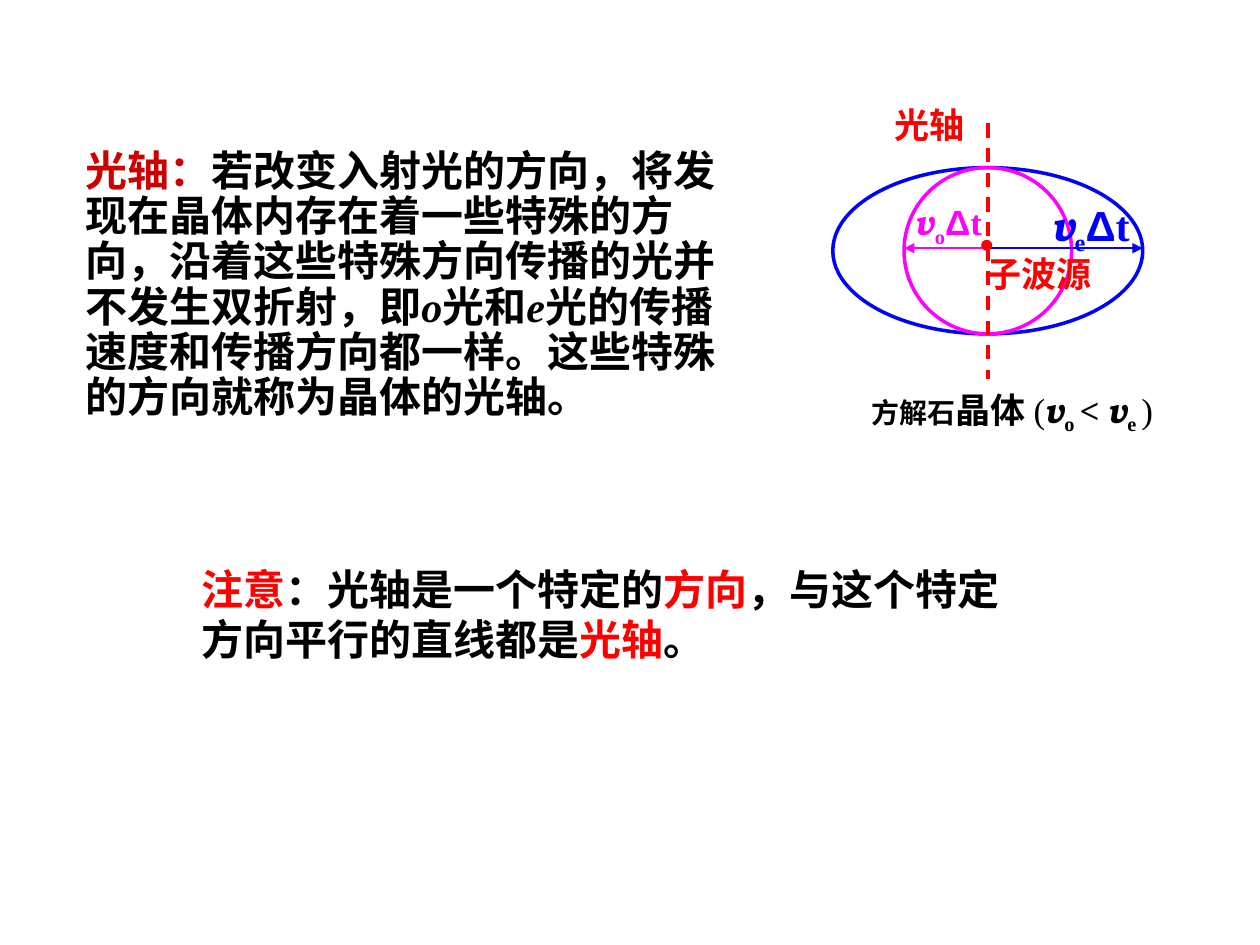
from dataclasses import dataclass

from lxml.etree import SubElement
from pptx import Presentation
from pptx.dml.color import RGBColor
from pptx.enum.dml import MSO_LINE
from pptx.enum.shapes import MSO_CONNECTOR, MSO_SHAPE
from pptx.enum.text import MSO_AUTO_SIZE, PP_ALIGN
from pptx.oxml.ns import qn
from pptx.util import Inches, Pt

RED = RGBColor(0xFF, 0x00, 0x00)
DARK_RED = RGBColor(0xCC, 0x00, 0x00)
BLUE = RGBColor(0x00, 0x00, 0xFF)
MAGENTA = RGBColor(0xFF, 0x00, 0xFF)
BLACK = RGBColor(0x00, 0x00, 0x00)

SANS, SERIF, SYMBOL = "Arial", "Times New Roman", "TeX Gyre Bonum"

# Wavefront geometry, in inches
AXIS_X, TOP, HEIGHT = 7.84, 1.33, 1.32
ELLIPSE_WIDTH, CIRCLE_WIDTH = 2.46, 1.33
RAY_Y = 1.97


@dataclass
class Span:
    text: str
    size: float
    color: RGBColor = BLACK
    font: str = SERIF
    bold: bool = True
    italic: bool = False
    subscript: bool = False


@dataclass
class Label:
    left: float
    top: float
    width: float
    height: float
    spans: list[Span]


def add_text(slide, label: Label, margins=(0.01, 0.01),
             align=PP_ALIGN.JUSTIFY, grow=False, line_spacing=None) -> None:
    box = slide.shapes.add_textbox(Inches(label.left), Inches(label.top),
                                   Inches(label.width), Inches(label.height))
    frame = box.text_frame
    frame.word_wrap = True
    if grow:
        frame.auto_size = MSO_AUTO_SIZE.SHAPE_TO_FIT_TEXT
    frame.margin_left = frame.margin_right = Inches(margins[0])
    frame.margin_top = frame.margin_bottom = Inches(margins[1])
    paragraph = frame.paragraphs[0]
    paragraph.alignment = align
    # Keep punctuation inside the right margin
    paragraph._p.get_or_add_pPr().set("hangingPunct", "0")
    if line_spacing:
        paragraph.line_spacing = line_spacing
    for span in label.spans:
        run = paragraph.add_run()
        run.text = span.text
        font = run.font
        font.size, font.name = Pt(span.size), span.font
        font.bold, font.italic = span.bold, span.italic
        font.color.rgb = span.color
        if span.subscript:
            run._r.get_or_add_rPr().set("baseline", "-25000")


def add_wavefront(slide, width: float, color: RGBColor) -> None:
    oval = slide.shapes.add_shape(MSO_SHAPE.OVAL, Inches(AXIS_X - width / 2), Inches(TOP),
                                  Inches(width), Inches(HEIGHT))
    oval.shadow.inherit = False
    oval.fill.background()
    oval.line.color.rgb = color
    oval.line.width = Pt(2)


def add_line(slide, start: tuple[float, float], end: tuple[float, float],
             color: RGBColor, weight: float, dashed=False, arrow=False) -> None:
    line = slide.shapes.add_connector(MSO_CONNECTOR.STRAIGHT, *map(Inches, start + end))
    line.line.color.rgb = color
    line.line.width = Pt(weight)
    if dashed:
        line.line.dash_style = MSO_LINE.DASH
    if arrow:
        SubElement(line.line._get_or_add_ln(), qn("a:tailEnd"), type="triangle")
    SubElement(line._element.spPr, qn("a:effectLst"))


def speed(index: str, size: float, color: RGBColor) -> list[Span]:
    return [Span("v", size, color, SYMBOL, italic=True),
            Span(index, size, color, subscript=True)]


def distance(index: str, size: float, color: RGBColor) -> list[Span]:
    return speed(index, size, color) + [Span("Δ", size, color, SANS), Span("t", size, color)]


def main() -> None:
    prs = Presentation()
    prs.slide_width, prs.slide_height = Inches(10), Inches(7.5)
    slide = prs.slides.add_slide(prs.slide_layouts[6])

    # Wavefronts, optical axis and rays
    add_wavefront(slide, ELLIPSE_WIDTH, BLUE)
    add_wavefront(slide, CIRCLE_WIDTH, MAGENTA)
    add_line(slide, (AXIS_X, 0.98), (AXIS_X, 3.01), RED, 2, dashed=True)
    source = (AXIS_X, RAY_Y)
    add_line(slide, source, (AXIS_X + ELLIPSE_WIDTH / 2, RAY_Y), BLUE, 1.5, arrow=True)
    add_line(slide, source, (AXIS_X - CIRCLE_WIDTH / 2, RAY_Y), MAGENTA, 1.5, arrow=True)

    # Diagram labels
    crystal = [Span("方解石", 16), Span("晶体 ", 20), Span("(", 20, bold=False),
               *speed("o ", 20, BLACK), Span("< ", 20),
               *speed("e ", 20, BLACK), Span(")", 20, bold=False)]
    for label in (
        Label(7.26, 1.58, 0.69, 0.39, distance("o", 20, MAGENTA)),
        Label(8.34, 1.57, 0.67, 0.41, distance("e", 24, BLUE)),
        Label(7.09, 0.81, 0.74, 0.31, [Span("光轴", 20, RED)]),
        Label(6.91, 3.07, 2.58, 0.44, crystal),
        Label(7.77, 1.74, 0.43, 0.33, [Span("•", 22, RED, SANS)]),
        Label(7.82, 1.99, 0.87, 0.35, [Span("子波源", 20, RED)]),
    ):
        add_text(slide, label)

    # Note on the optical axis
    note = [Span(text, 24, color, SANS) for text, color in (
        ("注意", RED), ("：光轴是一个特定的", BLACK), ("方向", RED),
        ("，与这个特定方向平行的直线都是", BLACK), ("光轴", RED), ("。", BLACK))]
    add_text(slide, Label(1.5, 4.42, 6.61, 0.9, note), (0.1, 0.05), PP_ALIGN.LEFT, grow=True)

    # Definition of the optical axis
    definition = [
        Span("光轴：", 24, DARK_RED),
        Span("若改变入射光的方向，将发现在晶体内存在着一些特殊的方向，"
             "沿着这些特殊方向传播的光并不发生双折射，即", 24),
        Span("o", 24, italic=True),
        Span("光和", 24),
        Span("e", 24, italic=True),
        Span("光的传播速度和传播方向都一样。这些特殊的方向就称为晶体的光轴。", 24),
    ]
    add_text(slide, Label(0.58, 1.14, 5.42, 2.26, definition), (0.1, 0.05),
             PP_ALIGN.LEFT, grow=True, line_spacing=0.9)

    prs.save("out.pptx")


if __name__ == "__main__":
    main()
